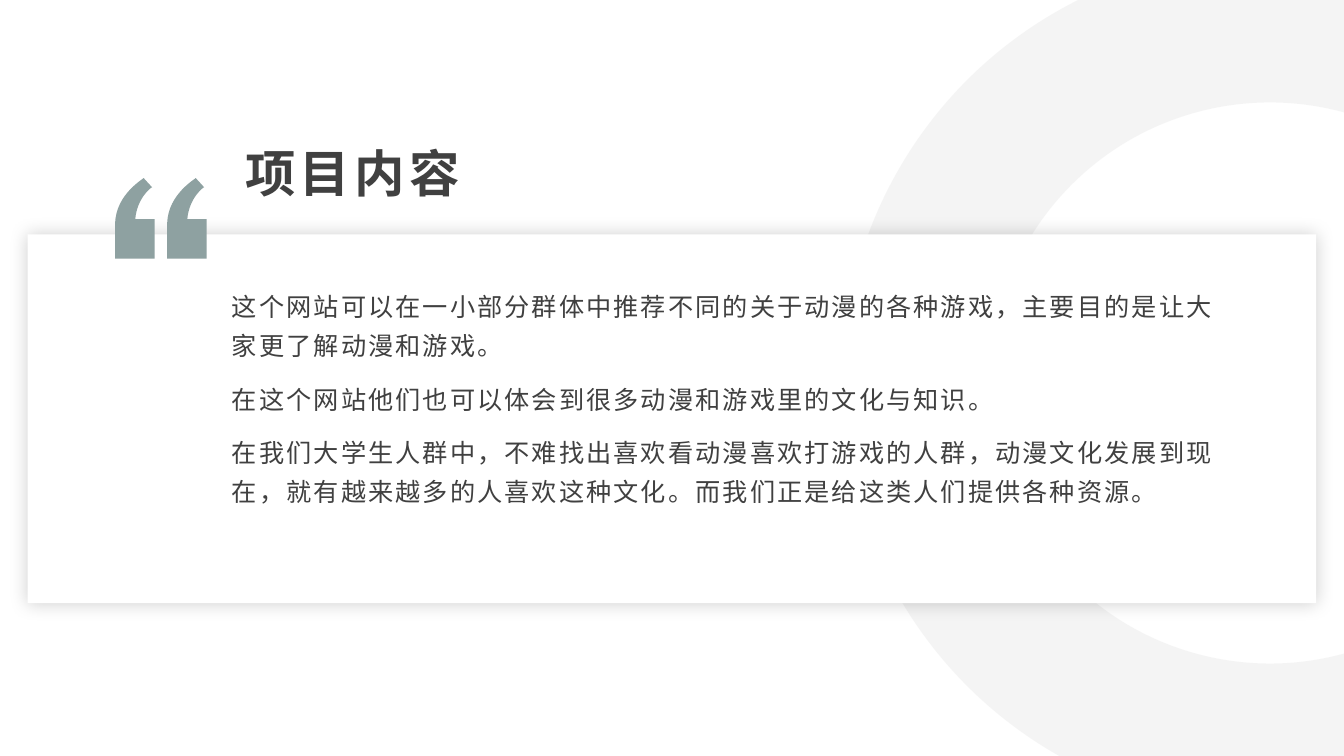
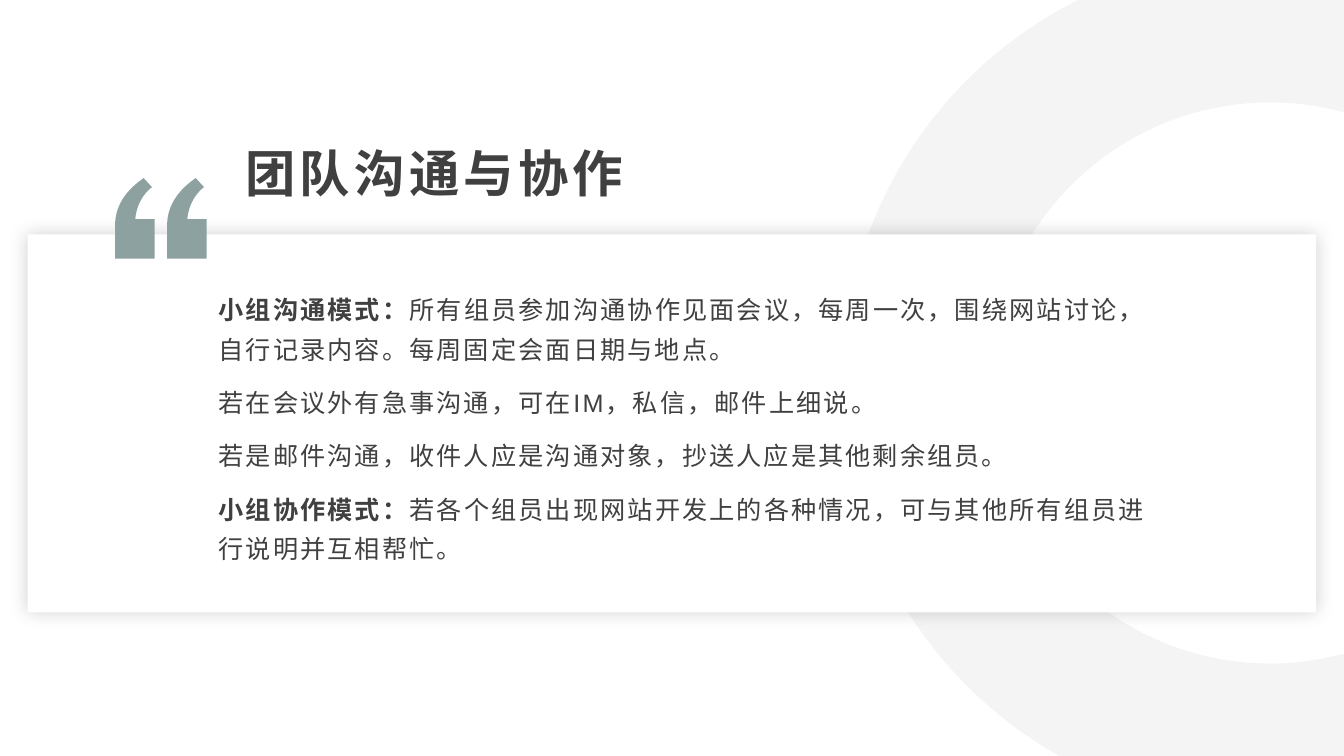
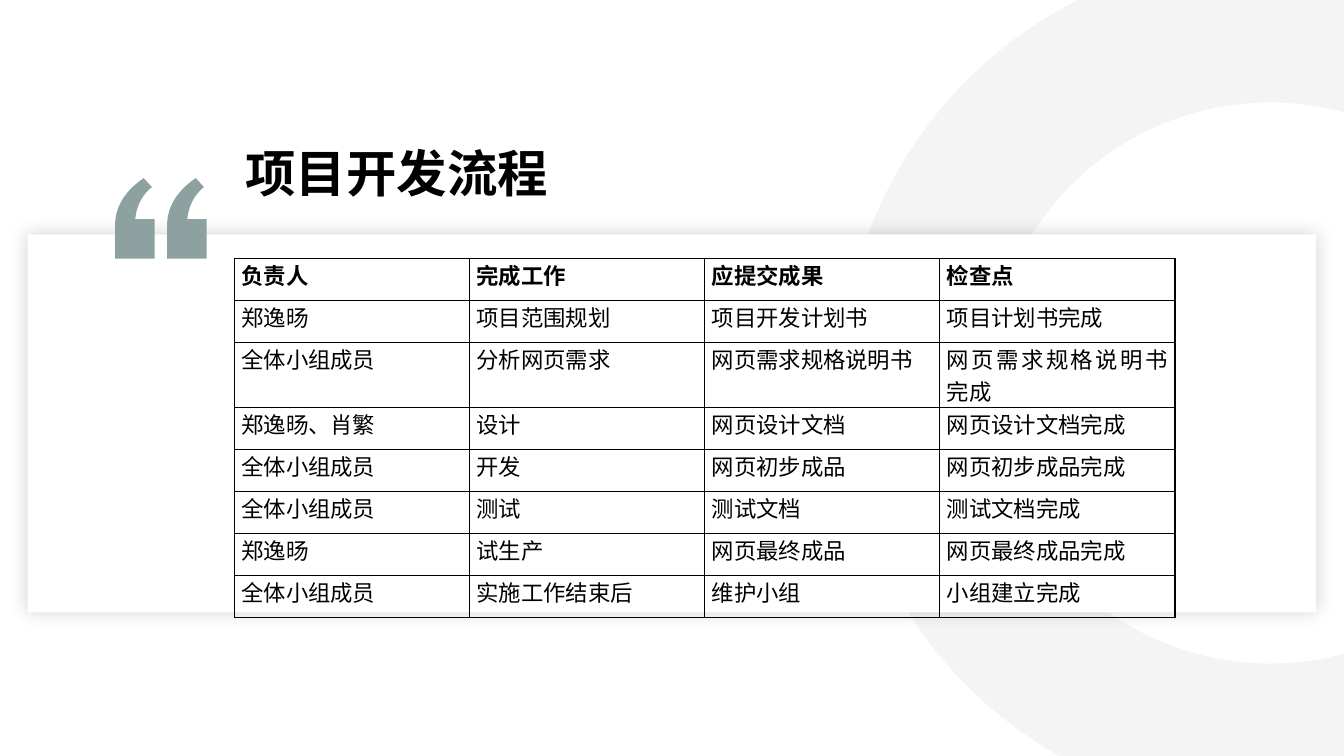
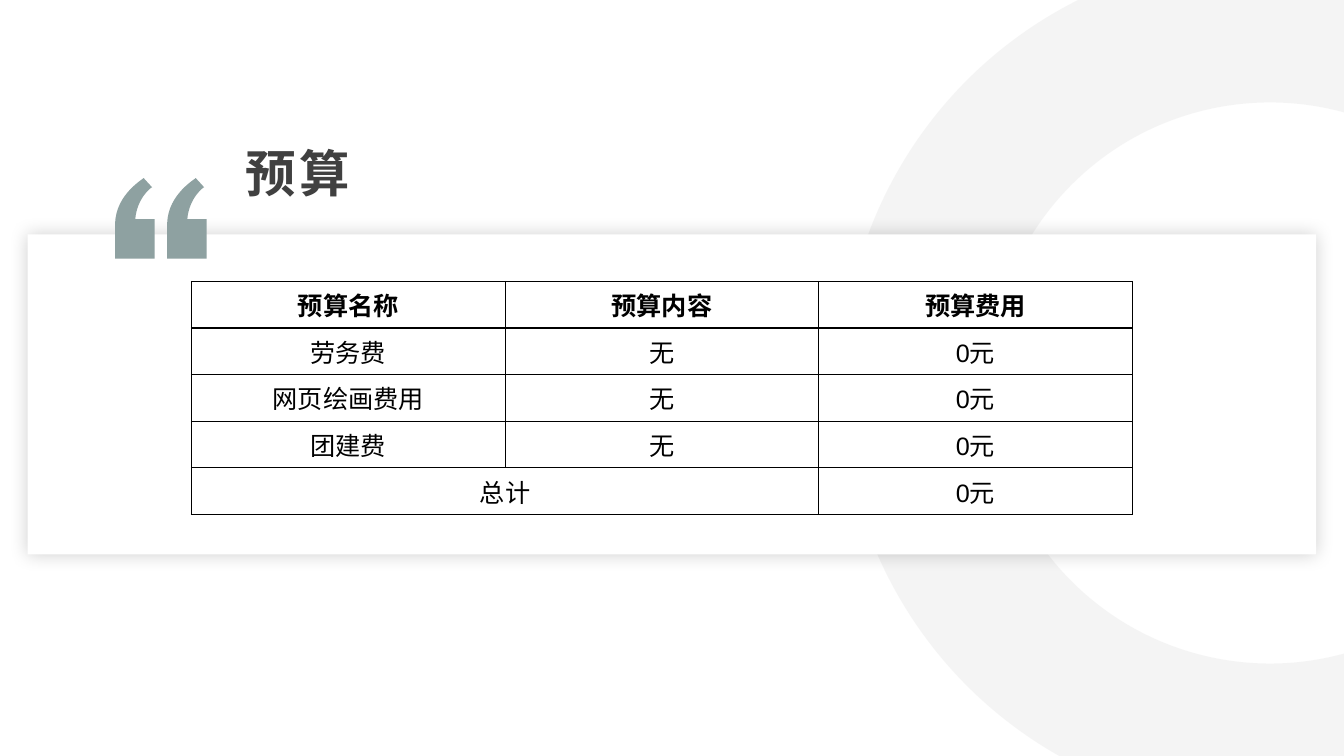
"""Build four project-plan slides that share a ring, a quote mark and a white card."""

from dataclasses import dataclass
from math import acos, asin, cos, pi, sin, tan

from lxml.etree import SubElement
from pptx import Presentation
from pptx.dml.color import RGBColor
from pptx.enum.shapes import MSO_SHAPE
from pptx.enum.text import MSO_ANCHOR, MSO_AUTO_SIZE, PP_ALIGN
from pptx.oxml import parse_xml
from pptx.oxml.ns import nsdecls, qn
from pptx.util import Emu, Inches, Pt

COLUMNS, ROWS = 16, 9
CELL = Inches(7.5) / ROWS


@dataclass(frozen=True)
class Theme:
    """Colours, font and type sizes of the deck."""

    font: str = "Arial"
    text: RGBColor = RGBColor(0x40, 0x40, 0x40)
    black: RGBColor = RGBColor(0, 0, 0)
    white: RGBColor = RGBColor(0xFF, 0xFF, 0xFF)
    ring: RGBColor = RGBColor(0xF2, 0xF2, 0xF2)
    accent: RGBColor = RGBColor(0x8E, 0xA1, 0xA1)
    title_size: int = 36
    body_size: int = 18
    small_size: int = 16


def units(*lengths):
    """Turn grid lengths into slide lengths."""
    return [Emu(round(length * CELL)) for length in lengths]


def assign(target, values):
    """Set each named attribute of the target."""
    for name, value in values.items():
        setattr(target, name, value)


def arc(centre, radius, start, end, pieces):
    """Return a straight segment to the arc's start, then cubic segments along it."""
    step = (end - start) / pieces
    reach = 4 / 3 * tan(step / 4)

    def point(angle, pull=0):
        """Return a point of the circle, pulled along its tangent."""
        return (centre[0] + radius * (cos(angle) - pull * sin(angle)),
                centre[1] + radius * (sin(angle) + pull * cos(angle)))

    angles = [start + step * index for index in range(pieces + 1)]
    curves = [(point(first, reach), point(last, -reach), point(last))
              for first, last in zip(angles, angles[1:])]
    return [(point(start),)] + curves


class Deck:
    """Hold the style and the current slide, and draw each kind of element."""

    def __init__(self, theme):
        """Start an empty widescreen presentation."""
        self.theme = theme
        self.presentation = Presentation()
        width, height = units(COLUMNS, ROWS)
        assign(self.presentation, {"slide_width": width, "slide_height": height})
        self.slide = None

    def add_slide(self, title, card_height, colour=None, spacing=3):
        """Add a slide with the shared decoration, the card and the title."""
        self.slide = self.presentation.slides.add_slide(self.presentation.slide_layouts[5])
        self.ring()
        self.card(card_height)
        for left in (1.37, 1.99):
            self.quote(left, 2.12)
        self.title(title, colour or self.theme.text, spacing)

    def run(self, paragraph, text, size, colour, bold=False, spacing=0):
        """Add a formatted run with letter spacing in points."""
        run = paragraph.add_run()
        run.text = text
        assign(run.font, {"name": self.theme.font, "size": Pt(size), "bold": bold})
        run.font.color.rgb = colour
        if spacing:
            run.font._element.set("spc", str(round(spacing * 100)))

    def paint(self, shape, colour):
        """Give a shape a flat fill without line or shadow."""
        shape.fill.solid()
        shape.fill.fore_color.rgb = colour
        shape.line.fill.background()
        shape.shadow.inherit = False

    def outline(self, segments, colour, left=0, top=0):
        """Draw a closed outline of one-point lines and three-point cubic curves."""
        corners = [units(left + x, top + y) for segment in segments for x, y in segment]
        builder = self.slide.shapes.build_freeform(*corners[0])
        builder.add_line_segments(corners[1:], close=True)
        shape = builder.convert_to_shape()
        lines = iter(list(shape._element.iter(qn("a:lnTo"))))
        for segment in segments[1:]:
            parts = [next(lines) for _ in segment]
            if len(parts) == 3:
                bend = parse_xml(f'<a:cubicBezTo {nsdecls("a")}/>')
                parts[0].addprevious(bend)
                for part in parts:
                    bend.append(part[0])
                    part.getparent().remove(part)
        self.paint(shape, colour)
        return shape

    def ring(self):
        """Draw the pale ring cut off by the slide's edges."""
        centre, outer, inner = (15.12, 4.56), 5.1, 3.34
        upper = pi + asin(centre[1] / outer)
        lower = pi - asin((ROWS - centre[1]) / outer)
        opening = acos((COLUMNS - centre[0]) / inner)
        segments = arc(centre, outer, upper, lower, 2) + [((COLUMNS, ROWS),)]
        segments += arc(centre, inner, opening, 2 * pi - opening, 4) + [((COLUMNS, 0),)]
        shape = self.outline(segments, self.theme.ring)
        colour = shape._element.spPr.find(qn("a:solidFill"))[0]
        SubElement(colour, qn("a:alpha"), val="80000")

    def card(self, height):
        """Draw the white card with its soft shadow."""
        shape = self.slide.shapes.add_shape(MSO_SHAPE.RECTANGLE, *units(0.33, 2.79, 15.34, height))
        self.paint(shape, self.theme.white)
        shape._element.spPr.find(qn("a:effectLst")).append(parse_xml(
            f'<a:outerShdw {nsdecls("a")} blurRad="{Pt(13)}" dist="0" algn="ctr" rotWithShape="0">'
            '<a:srgbClr val="000000"><a:alpha val="18000"/></a:srgbClr></a:outerShdw>'))

    def quote(self, left, top):
        """Draw one stroke of the quote mark."""
        self.outline([
            ((0.47, 0.96),), ((0, 0.96),), ((0, 0.54),),
            ((0.01, 0.19), (0.34, 0.01), (0.34, 0)),
            ((0.44, 0.11),),
            ((0.43, 0.11), (0.26, 0.24), (0.24, 0.49)),
            ((0.47, 0.49),),
        ], self.theme.accent, left, top)

    def title(self, text, colour, spacing):
        """Place and format the title placeholder."""
        shape = self.slide.shapes.title
        assign(shape, dict(zip(("left", "top", "width", "height"), units(2.79, 1.64, 4.76, 0.82))))
        assign(shape.text_frame, {
            "margin_left": Inches(0.11), "margin_right": Inches(0.07),
            "margin_top": Inches(0.04), "margin_bottom": Inches(0.04),
            "word_wrap": False, "auto_size": MSO_AUTO_SIZE.NONE,
            "vertical_anchor": MSO_ANCHOR.MIDDLE})
        paragraph = shape.text_frame.paragraphs[0]
        paragraph.alignment = PP_ALIGN.LEFT
        self.run(paragraph, text, self.theme.title_size, colour, True, spacing)

    def body(self, place, paragraphs):
        """Write paragraphs, each a bold lead and a plain text."""
        frame = self.slide.shapes.add_textbox(*units(*place)).text_frame
        assign(frame, {
            "word_wrap": True, "margin_left": Inches(0.11), "margin_right": Inches(0.09),
            "margin_top": 0, "margin_bottom": 0})
        for index, (lead, text) in enumerate(paragraphs):
            paragraph = frame.add_paragraph() if index else frame.paragraphs[0]
            assign(paragraph, {"line_spacing": 1.3, "space_before": Pt(10 if index else 0)})
            for part, bold in ((lead, True), (text, False)):
                if part:
                    self.run(paragraph, part, self.theme.body_size, self.theme.text, bold, 1.5)

    def table(self, place, rows, size, alignment, margins=None):
        """Add a ruled table with a bold first row and return it."""
        frame = self.slide.shapes.add_table(len(rows), len(rows[0]), *units(*place))
        table = frame.table
        assign(table, {"first_row": False, "horz_banding": False})
        for row_index, row in enumerate(rows):
            for column_index, text in enumerate(row):
                cell = table.cell(row_index, column_index)
                assign(cell, margins or {})
                cell.fill.background()
                self.rule(cell)
                paragraph = cell.text_frame.paragraphs[0]
                paragraph.alignment = alignment
                if text:
                    self.run(paragraph, text, size, self.theme.black, row_index == 0)
        return table

    def rule(self, cell):
        """Draw a thin black border on each side of a cell."""
        properties = cell._tc.get_or_add_tcPr()
        for index, side in enumerate(("lnL", "lnR", "lnT", "lnB")):
            properties.insert(index, parse_xml(
                f'<a:{side} {nsdecls("a")} w="{Pt(1)}"><a:solidFill>'
                f'<a:srgbClr val="{self.theme.black}"/></a:solidFill></a:{side}>'))


def main():
    """Build and save the deck."""
    theme = Theme()
    deck = Deck(theme)

    deck.add_slide("项目内容", 4.39)
    deck.body((2.63, 3.36, 12.13, 3.28), [
        ("", "这个网站可以在一小部分群体中推荐不同的关于动漫的各种游戏，主要目的是让大家更了解动漫和游戏。"),
        ("", "在这个网站他们也可以体会到很多动漫和游戏里的文化与知识。"),
        ("", "在我们大学生人群中，不难找出喜欢看动漫喜欢打游戏的人群，动漫文化发展到现在，"
             "就有越来越多的人喜欢这种文化。而我们正是给这类人们提供各种资源。"),
    ])

    deck.add_slide("团队沟通与协作", 4.5)
    deck.body((2.47, 3.4, 11.41, 3.46), [
        ("小组沟通模式：", "所有组员参加沟通协作见面会议，每周一次，围绕网站讨论，"
                    "自行记录内容。每周固定会面日期与地点。"),
        ("", "若在会议外有急事沟通，可在IM，私信，邮件上细说。"),
        ("", "若是邮件沟通，收件人应是沟通对象，抄送人应是其他剩余组员。"),
        ("小组协作模式：", "若各个组员出现网站开发上的各种情况，可与其他所有组员进行说明并互相帮忙。"),
    ])

    deck.add_slide("项目开发流程", 4.5, theme.black, 0)
    deck.table((2.79, 3.08, 11.2, 4), [
        ("负责人", "完成工作", "应提交成果", "检查点"),
        ("郑逸旸", "项目范围规划", "项目开发计划书", "项目计划书完成"),
        ("全体小组成员", "分析网页需求", "网页需求规格说明书", "网页需求规格说明书完成"),
        ("郑逸旸、肖繁", "设计", "网页设计文档", "网页设计文档完成"),
        ("全体小组成员", "开发", "网页初步成品", "网页初步成品完成"),
        ("全体小组成员", "测试", "测试文档", "测试文档完成"),
        ("郑逸旸", "试生产", "网页最终成品", "网页最终成品完成"),
        ("全体小组成员", "实施工作结束后", "维护小组", "小组建立完成"),
    ], theme.small_size, PP_ALIGN.JUSTIFY, {
        "margin_left": Inches(0.07), "margin_right": Inches(0.07),
        "margin_top": 0, "margin_bottom": 0})

    deck.add_slide("预算", 3.81)
    budget = deck.table((2.28, 3.35, 11.2, 2.67), [
        ("预算名称", "预算内容", "预算费用"),
        ("劳务费", "无", "0元"),
        ("网页绘画费用", "无", "0元"),
        ("团建费", "无", "0元"),
        ("总计", "", "0元"),
    ], theme.body_size, PP_ALIGN.CENTER)
    budget.cell(4, 0).merge(budget.cell(4, 1))

    deck.presentation.save("out.pptx")


if __name__ == "__main__":
    main()
